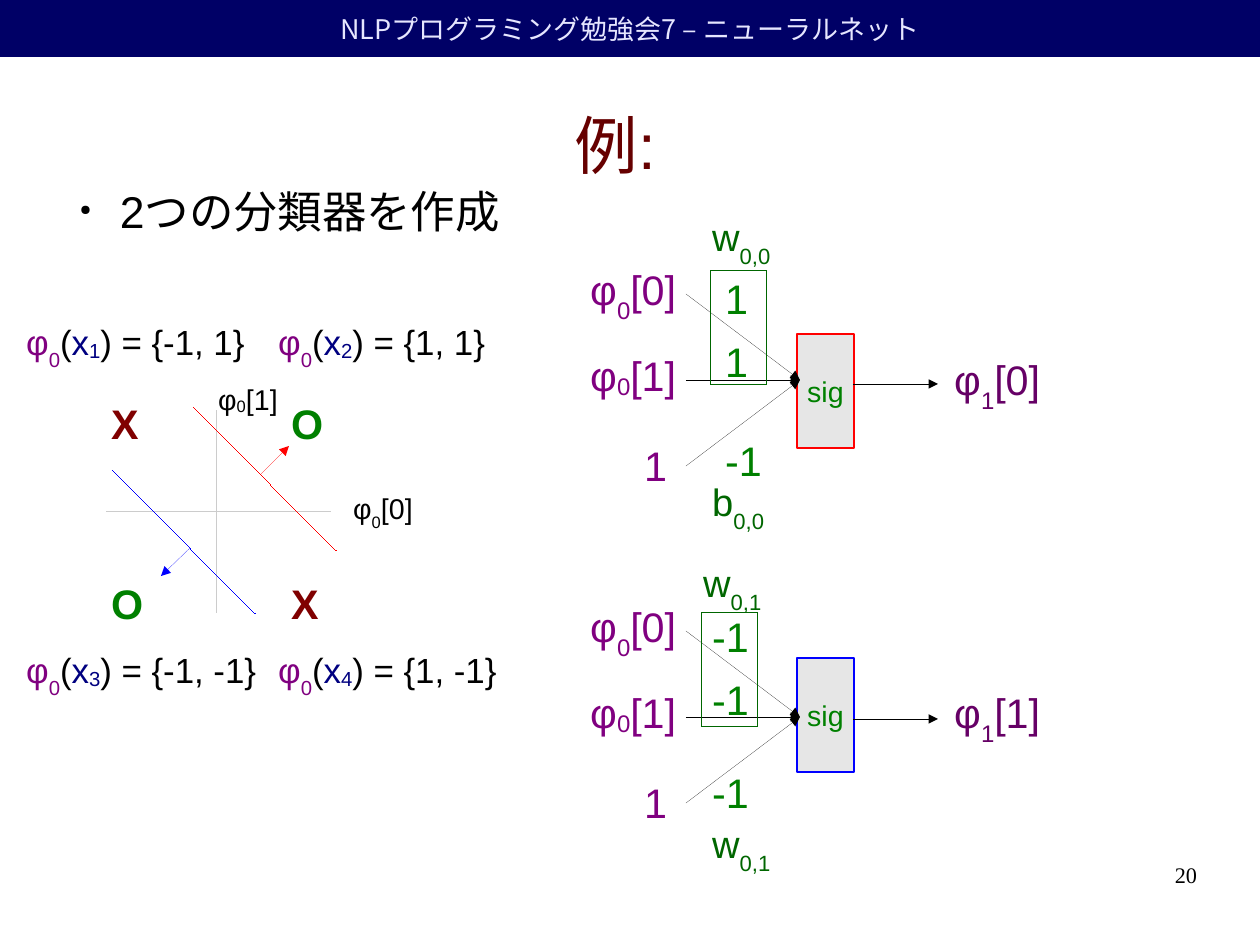
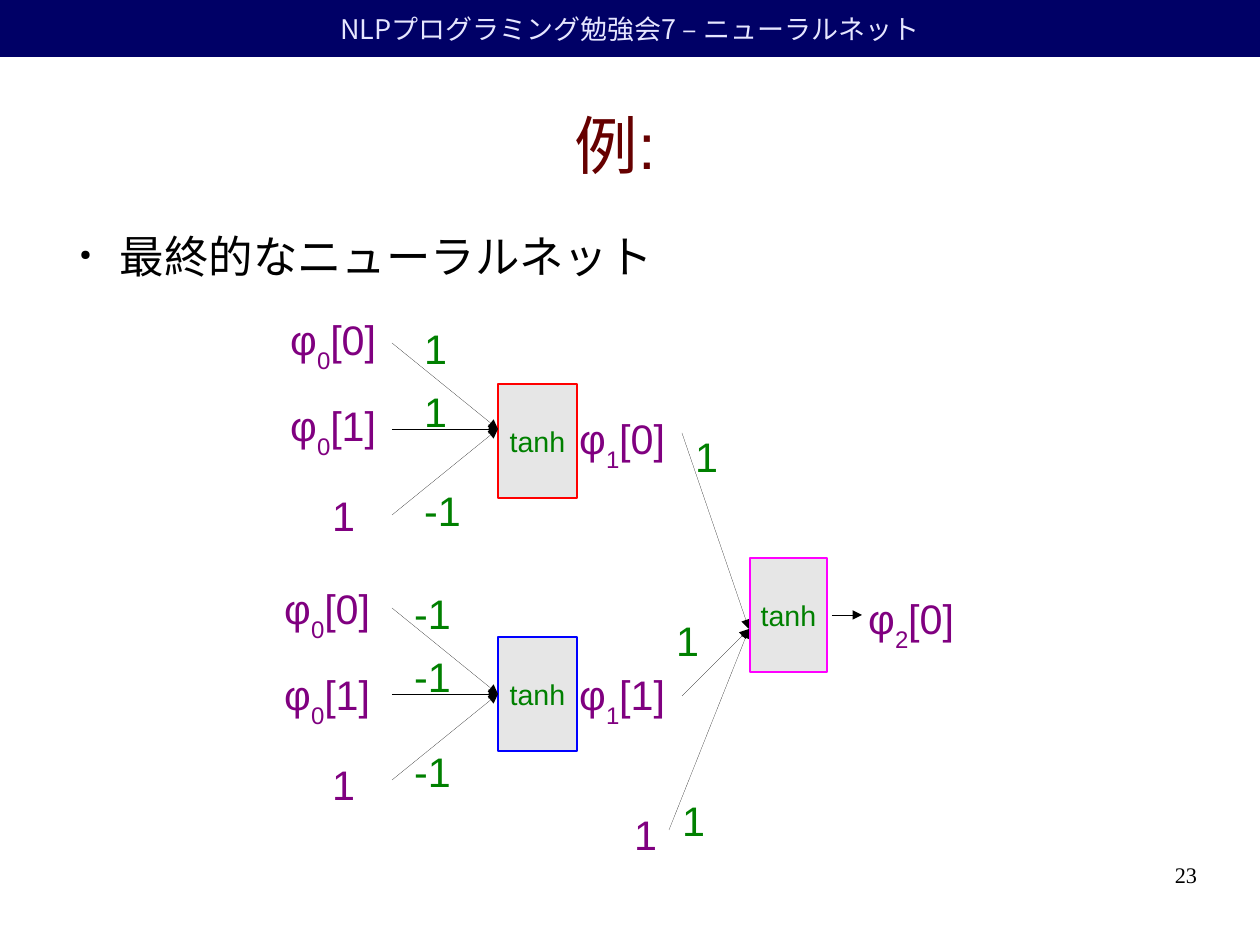
from lxml import etree
from pptx import Presentation
from pptx.dml.color import RGBColor
from pptx.enum.shapes import MSO_CONNECTOR, MSO_SHAPE
from pptx.enum.text import MSO_ANCHOR, MSO_AUTO_SIZE, PP_ALIGN
from pptx.oxml.ns import qn
from pptx.util import Emu, Pt

STRAIGHT = MSO_CONNECTOR.STRAIGHT
RECTANGLE = MSO_SHAPE.RECTANGLE
MIDDLE = MSO_ANCHOR.MIDDLE
CENTER, RIGHT = PP_ALIGN.CENTER, PP_ALIGN.RIGHT
FIT_SHAPE, NO_FIT = MSO_AUTO_SIZE.SHAPE_TO_FIT_TEXT, MSO_AUTO_SIZE.NONE

BLACK = RGBColor(0x00, 0x00, 0x00)
RED = RGBColor(0xFF, 0x00, 0x00)
BLUE = RGBColor(0x00, 0x00, 0xFF)
MAGENTA = RGBColor(0xFF, 0x00, 0xFF)
NAVY = RGBColor(0x00, 0x00, 0x66)
PALE = RGBColor(0xE6, 0xE6, 0xFF)
WINE = RGBColor(0x66, 0x00, 0x00)
MAROON = RGBColor(0x80, 0x00, 0x00)
GREEN = RGBColor(0x00, 0x80, 0x00)
DARK_GREEN = RGBColor(0x00, 0x66, 0x00)
PURPLE = RGBColor(0x80, 0x00, 0x80)
DARK_PURPLE = RGBColor(0x66, 0x00, 0x66)
POINT_BLUE = RGBColor(0x00, 0x00, 0x80)
BOX_GRAY = RGBColor(0xE6, 0xE6, 0xE6)
AXIS_GRAY = RGBColor(0xCC, 0xCC, 0xCC)

LATIN, JAPANESE, NUMERAL = "Arial", "Noto Sans CJK JP", "Times New Roman"
PX = 8000
WIDTH, HEIGHT = 1260, 945
UNIT_HEIGHT = 114
INPUT_SPREAD = 86
INPUT_STEPS = (0, 86, 176)
LOW, SLIGHT = -33, -8
PHI_WIDTH, NUMBER_WIDTH = 145, 80

HEADER = "NLPプログラミング勉強会7 – ニューラルネット"
TITLE = "例: "

CLASSES = [
    ("X", MAROON, 100, 393), ("O", GREEN, 100, 573),
    ("O", GREEN, 280, 393), ("X", MAROON, 280, 573),
]
POINTS = [
    ("1", "{-1, 1}", 15, 315), ("2", "{1, 1}", 267, 315),
    ("3", "{-1, -1}", 15, 643), ("4", "{1, -1}", 267, 643),
]
AXES = [(217, 411, 217, 612), (107, 512, 331, 512)]
AXIS_LABELS = [("[0]", LOW, 342, 485), ("[1]", SLIGHT, 207, 376)]
BOUNDARIES = [
    (RED, (194, 408, 337, 551), (261, 474, 289, 446)),
    (BLUE, (256, 614, 113, 471), (190, 548, 161, 576)),
]
CLASSIFIERS = [
    dict(name="sig", color=RED, box=(797, 334, 57), tip=(800, 380), start=686,
         input_left=579, bias_left=633, input_top=259, second_drop=SLIGHT,
         weight_left=714, weights=[("1", 268), ("1", 331), ("-1", 430)]),
    dict(name="sig", color=BLUE, box=(797, 658, 57), tip=(800, 717), start=686,
         input_left=579, bias_left=633, input_top=596, second_drop=SLIGHT,
         weight_left=701, weights=[("-1", 606), ("-1", 669), ("-1", 762)]),
]
CLASSIFIER_OUTPUTS = [("[0]", 384, 349), ("[1]", 719, 682)]
WEIGHT_NAMES = [
    ("w", "0,0", 701, 208), ("b", "0,0", 701, 473),
    ("w", "0,1", 692, 554), ("w", "0,1", 701, 815),
]
WEIGHT_FRAMES = [(710, 271), (701, 613)]

HIDDEN_UNITS = [
    dict(name="tanh", color=RED, box=(498, 384, 79), tip=(498, 429), start=392,
         input_left=279, bias_left=321, input_top=309, second_drop=LOW,
         weight_left=413, weights=[("1", 318), ("1", 381), ("-1", 480)]),
    dict(name="tanh", color=BLUE, box=(498, 637, 79), tip=(498, 694), start=392,
         input_left=273, bias_left=321, input_top=578, second_drop=LOW,
         weight_left=403, weights=[("-1", 583), ("-1", 646), ("-1", 741)]),
]
HIDDEN_OUTPUTS = [("1", "[0]", 568, 408), ("1", "[1]", 568, 664), ("2", "[0]", 857, 588)]
OUTPUT_STARTS = [(682, 433), (682, 696), (669, 830)]
OUTPUT_TIP = (749, 629)
OUTPUT_WEIGHTS = [(684, 426), (665, 610), (671, 790)]
OUTPUT_BIAS = (623, 804)


def px(*values):
    return [Emu(value * PX) for value in values]


def set_font(paragraph, size, color, name=LATIN, bold=None):
    font = paragraph.font
    font.size, font.name, font.bold = Pt(size), name, bold
    font.color.rgb = color
    latin = paragraph._p.pPr.find(qn("a:defRPr")).find(qn("a:latin"))
    east_asian = etree.Element(qn("a:ea"))
    east_asian.set("typeface", JAPANESE)
    latin.addnext(east_asian)


def clear_margins(frame):
    frame.margin_left = frame.margin_right = frame.margin_top = frame.margin_bottom = 0


def add_label(slide, box, runs, size, bold=None):
    frame = slide.shapes.add_textbox(*px(*box)).text_frame
    frame.word_wrap = False
    frame.auto_size = FIT_SHAPE
    paragraph = frame.paragraphs[0]
    for text, color, drop in runs:
        run = paragraph.add_run()
        run.text = text
        if color != runs[0][1]:
            run.font.color.rgb = color
        if drop:
            run.font._element.set("baseline", str(drop * 1000))
    set_font(paragraph, size, runs[0][1], bold=bold)


def phi(layer, index, color=PURPLE, drop=LOW):
    return [("φ", color, 0), (layer, color, drop), (index, color, 0)]


def add_phi(slide, left, top, runs):
    add_label(slide, (left, top, PHI_WIDTH, 71), runs, 26)


def add_number(slide, left, top, text, color=GREEN):
    add_label(slide, (left, top, NUMBER_WIDTH, 57), [(text, color, 0)], 26)


def set_line(shape, color, points=0):
    shape.line.color.rgb = color
    outline = shape._element.spPr.find(qn("a:ln"))
    outline.set("w", str(int(Pt(points))))
    return outline


def add_line(slide, ends, color=BLACK, arrow=False):
    connector = slide.shapes.add_connector(STRAIGHT, *px(*ends))
    outline = set_line(connector, color)
    if arrow:
        etree.SubElement(outline, qn("a:tailEnd")).set("type", "triangle")
    etree.SubElement(connector._element.spPr, qn("a:effectLst"))
    return connector


def add_rectangle(slide, box, fill=None, line=None, line_width=0):
    shape = slide.shapes.add_shape(RECTANGLE, *px(*box))
    shape.shadow.inherit = False
    if fill is None:
        shape.fill.background()
    else:
        shape.fill.solid()
        shape.fill.fore_color.rgb = fill
    if line is None:
        shape.line.fill.background()
    else:
        set_line(shape, line, line_width)
    return shape


def write_centered(shape, text, size, color, name=LATIN):
    frame = shape.text_frame
    frame.vertical_anchor = MIDDLE
    paragraph = frame.paragraphs[0]
    paragraph.text = text
    paragraph.alignment = CENTER
    set_font(paragraph, size, color, name)


def add_unit_box(slide, name, color, left, top, width):
    box = add_rectangle(slide, (left, top, width, UNIT_HEIGHT), BOX_GRAY, color, 1.45)
    write_centered(box, name, 18, GREEN)
    box.text_frame.word_wrap = False
    return box


def add_unit(slide, unit):
    left, top, width = unit["box"]
    box = add_unit_box(slide, unit["name"], unit["color"], left, top, width)
    tip_x, tip_y = unit["tip"]
    at_side_middle = unit["tip"] == (left, top + UNIT_HEIGHT // 2)
    for row in (-1, 0, 1):
        start_y = tip_y + row * INPUT_SPREAD
        arrow = add_line(slide, (unit["start"], start_y, tip_x, tip_y), arrow=True)
        if at_side_middle:
            arrow.end_connect(box, 1)
    first, second, bias = [unit["input_top"] + step for step in INPUT_STEPS]
    add_phi(slide, unit["input_left"], first, phi("0", "[0]"))
    add_phi(slide, unit["input_left"], second, phi("0", "[1]", drop=unit["second_drop"]))
    add_number(slide, unit["bias_left"], bias, "1", PURPLE)
    for text, weight_top in unit["weights"]:
        add_number(slide, unit["weight_left"], weight_top, text)


def add_bullet(slide, text, top):
    frame = slide.shapes.add_textbox(*px(66, top, 1134, 64)).text_frame
    frame.word_wrap = True
    clear_margins(frame)
    paragraph = frame.paragraphs[0]
    paragraph.text = text
    properties = paragraph._p.get_or_add_pPr()
    properties.set("marL", str(54 * PX))
    properties.set("indent", str(-40 * PX))
    bullet_color = etree.SubElement(properties, qn("a:buClr"))
    etree.SubElement(bullet_color, qn("a:srgbClr")).set("val", str(BLACK))
    etree.SubElement(properties, qn("a:buSzPct")).set("val", "32000")
    etree.SubElement(properties, qn("a:buChar")).set("char", "●")
    paragraph.space_after = Pt(14.2)
    set_font(paragraph, 28, BLACK)


def start_slide(presentation, number, bullet, bullet_top):
    slide = presentation.slides.add_slide(presentation.slide_layouts[5])
    band = add_rectangle(slide, (0, 0, WIDTH, 57), NAVY)
    write_centered(band, HEADER, 17, PALE, JAPANESE)
    title = slide.shapes.title
    title.left, title.top, title.width, title.height = px(57, 72, 1134, 145)
    write_centered(title, TITLE, 40, WINE)
    title.text_frame.auto_size = NO_FIT
    clear_margins(title.text_frame)
    add_bullet(slide, bullet, bullet_top)
    frame = slide.shapes.add_textbox(*px(903, 861, 294, 65)).text_frame
    frame.word_wrap = True
    clear_margins(frame)
    paragraph = frame.paragraphs[0]
    paragraph.text = number
    paragraph.alignment = RIGHT
    set_font(paragraph, 14, BLACK, NUMERAL)
    return slide


def build_classifiers(presentation):
    slide = start_slide(presentation, "20", "2つの分類器を作成", 184)
    for text, color, left, top in CLASSES:
        add_label(slide, (left, top, 60, 57), [(text, color, 0)], 26, True)
    for ends in AXES:
        add_line(slide, ends, AXIS_GRAY)
    for index, values, left, top in POINTS:
        runs = [("φ", PURPLE, 0), ("0", PURPLE, LOW), ("(", BLACK, 0),
                ("x", POINT_BLUE, 0), (index, POINT_BLUE, SLIGHT),
                (f") = {values}", BLACK, 0)]
        add_label(slide, (left, top, 260, 62), runs, 22)
    for color, boundary, direction in BOUNDARIES:
        add_line(slide, boundary, color)
        add_line(slide, direction, color, True)
    for index, drop, left, top in AXIS_LABELS:
        add_label(slide, (left, top, 100, 53), phi("0", index, BLACK, drop), 18)
    for unit in CLASSIFIERS:
        add_unit(slide, unit)
    for index, arrow_y, top in CLASSIFIER_OUTPUTS:
        add_line(slide, (853, arrow_y, 938, arrow_y), arrow=True)
        add_phi(slide, 943, top, phi("1", index, DARK_PURPLE))
    for letter, index, left, top in WEIGHT_NAMES:
        runs = [(letter, DARK_GREEN, 0), (index, DARK_GREEN, LOW)]
        add_label(slide, (left, top, 100, 63), runs, 24)
    for left, top in WEIGHT_FRAMES:
        add_rectangle(slide, (left, top, 57, 114), line=DARK_GREEN)


def build_network(presentation):
    slide = start_slide(presentation, "23", "最終的なニューラルネット", 229)
    for unit in HIDDEN_UNITS:
        add_unit(slide, unit)
    for start in OUTPUT_STARTS:
        add_line(slide, start + OUTPUT_TIP, arrow=True)
    add_number(slide, *OUTPUT_BIAS, "1", PURPLE)
    for left, top in OUTPUT_WEIGHTS:
        add_number(slide, left, top, "1")
    add_unit_box(slide, "tanh", MAGENTA, 750, 558, 77)
    add_line(slide, (832, 615, 862, 615), arrow=True)
    for layer, index, left, top in HIDDEN_OUTPUTS:
        add_phi(slide, left, top, phi(layer, index))


def main():
    presentation = Presentation()
    presentation.slide_width, presentation.slide_height = px(WIDTH, HEIGHT)
    build_classifiers(presentation)
    build_network(presentation)
    presentation.save("out.pptx")


if __name__ == "__main__":
    main()
